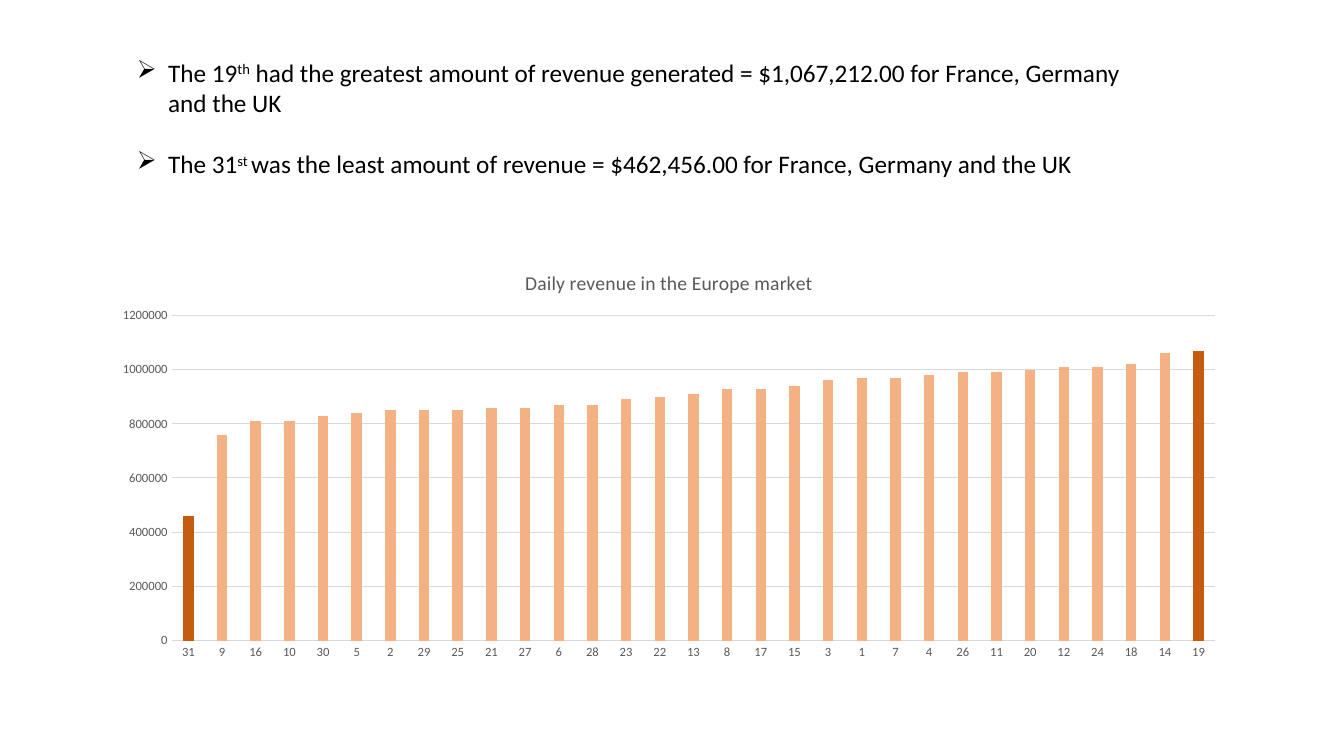
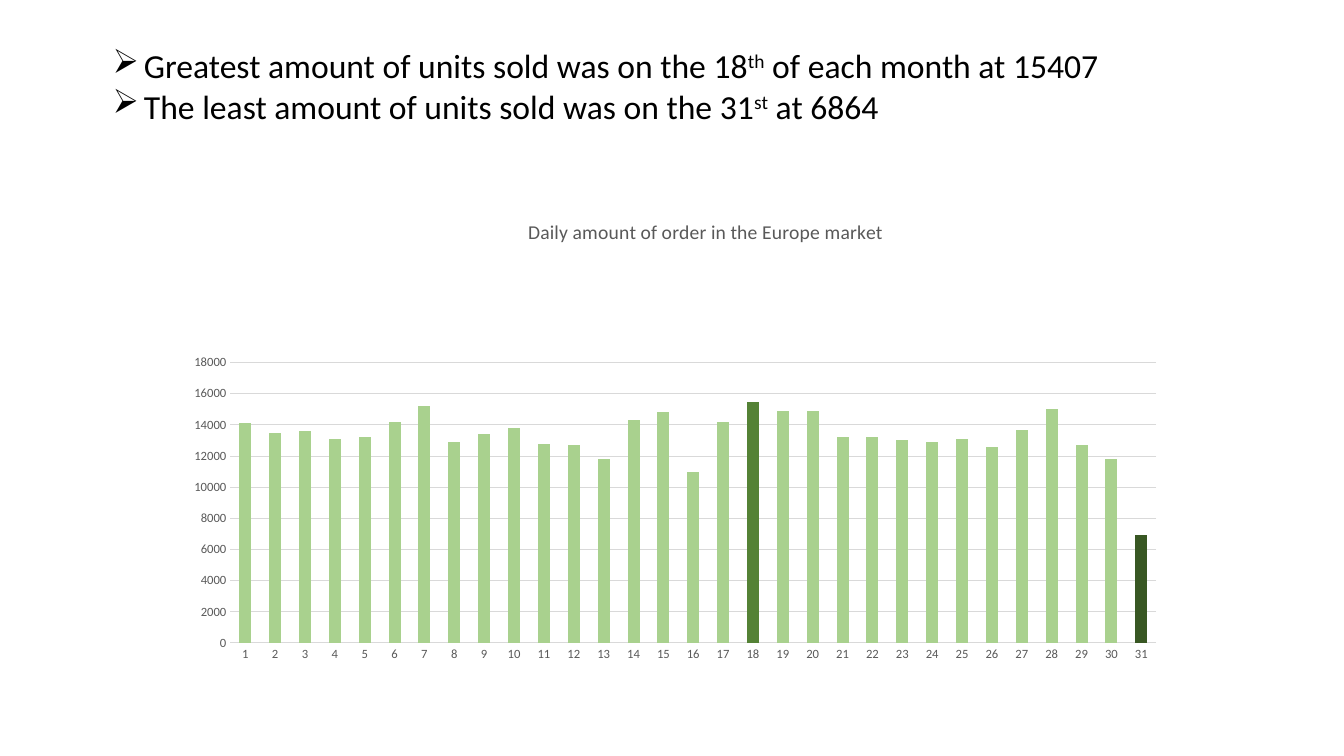
from dataclasses import dataclass

from lxml.etree import SubElement
from pptx import Presentation
from pptx.chart.chart import Chart
from pptx.chart.data import CategoryChartData
from pptx.dml.color import RGBColor
from pptx.enum.chart import XL_CHART_TYPE as ChartType, XL_TICK_MARK as TickMark
from pptx.enum.text import MSO_AUTO_SIZE as AutoSize
from pptx.oxml import parse_xml
from pptx.oxml.ns import nsdecls, qn
from pptx.slide import Slide
from pptx.text.text import Font, _Paragraph as Paragraph
from pptx.util import Inches, Length, Pt

SLIDE_WIDTH, SLIDE_HEIGHT = Inches(13.33), Inches(7.5)
GRID_COLUMNS = GRID_ROWS = 100
FONT_NAME = "Calibri"
BLACK = RGBColor(0x00, 0x00, 0x00)
AXIS_TEXT = RGBColor(0x59, 0x59, 0x59)
GRID_LINE = RGBColor(0xD9, 0xD9, 0xD9)
LIGHT_ORANGE = RGBColor(0xF4, 0xB1, 0x83)
DARK_ORANGE = RGBColor(0xC5, 0x5A, 0x11)
LIGHT_GREEN = RGBColor(0xA9, 0xD1, 0x8E)
MID_GREEN = RGBColor(0x54, 0x82, 0x35)
DARK_GREEN = RGBColor(0x38, 0x57, 0x23)
BULLET_INDENT = Inches(0.31)
SUPERSCRIPT = "30000"


@dataclass(frozen=True)
class GridBox:
    column: float
    row: float
    columns: float
    rows: float

    def lengths(self) -> tuple[Length, ...]:
        column_width = SLIDE_WIDTH / GRID_COLUMNS
        row_height = SLIDE_HEIGHT / GRID_ROWS
        return tuple(
            Length(round(size))
            for size in (
                self.column * column_width,
                self.row * row_height,
                self.columns * column_width,
                self.rows * row_height,
            )
        )


@dataclass(frozen=True)
class PlotArea:
    x: float
    y: float
    w: float
    h: float


@dataclass(frozen=True)
class Finding:
    start: str
    ordinal: str
    end: str


@dataclass(frozen=True)
class ColumnChart:
    title: str
    kind: ChartType
    box: GridBox
    plot_area: PlotArea
    days: tuple[int, ...]
    values: tuple[int, ...]
    colour: RGBColor
    highlights: dict[int, RGBColor]
    gap: int
    overlap: int
    maximum: int
    step: int
    baseline: bool


@dataclass(frozen=True)
class MarketSlide:
    findings: tuple[Finding, ...]
    findings_box: GridBox
    text_size: float
    finding_gap: float
    chart: ColumnChart


MARKET_SLIDES = (
    MarketSlide(
        findings=(
            Finding("The 19", "th", " had the greatest amount of revenue generated = "
                    "$1,067,212.00 for France, Germany and the UK"),
            Finding("The 31", "st ", "was the least amount of revenue = "
                    "$462,456.00 for France, Germany and the UK"),
        ),
        findings_box=GridBox(9.45, 6.93, 77.8, 17.47),
        text_size=18,
        finding_gap=22,
        chart=ColumnChart(
            title="Daily revenue in the Europe market",
            kind=ChartType.COLUMN_CLUSTERED,
            box=GridBox(7.43, 33.33, 84.7, 54.93),
            plot_area=PlotArea(0.063, 0.153, 0.917, 0.783),
            days=(31, 9, 16, 10, 30, 5, 2, 29, 25, 21, 27, 6, 28, 23, 22, 13,
                  8, 17, 15, 3, 1, 7, 4, 26, 11, 20, 12, 24, 18, 14, 19),
            values=(460000, 760000, 810000, 810000, 830000, 840000, 850000, 850000,
                    850000, 860000, 860000, 870000, 870000, 890000, 900000, 910000,
                    930000, 930000, 940000, 960000, 970000, 970000, 980000, 990000,
                    990000, 1000000, 1010000, 1010000, 1020000, 1060000, 1070000),
            colour=LIGHT_ORANGE,
            highlights={31: DARK_ORANGE, 19: DARK_ORANGE},
            gap=219,
            overlap=-27,
            maximum=1200000,
            step=200000,
            baseline=True,
        ),
    ),
    MarketSlide(
        findings=(
            Finding("Greatest amount of units sold was on the 18", "th",
                    " of each month at 15407"),
            Finding("The least amount of units sold was on the 31", "st", " at 6864"),
        ),
        findings_box=GridBox(7.65, 5.33, 83.5, 12.13),
        text_size=24,
        finding_gap=0,
        chart=ColumnChart(
            title="Daily amount of order in the Europe market",
            kind=ChartType.COLUMN_STACKED,
            box=GridBox(10.5, 26.27, 84.02, 70.93),
            plot_area=PlotArea(0.079, 0.306, 0.82, 0.523),
            days=tuple(range(1, 32)),
            values=(14100, 13500, 13600, 13100, 13200, 14200, 15200, 12900,
                    13400, 13800, 12800, 12700, 11800, 14300, 14800, 11000,
                    14200, 15500, 14900, 14900, 13200, 13200, 13000, 12900,
                    13100, 12600, 13700, 15000, 12700, 11800, 6900),
            colour=LIGHT_GREEN,
            highlights={18: MID_GREEN, 31: DARK_GREEN},
            gap=150,
            overlap=100,
            maximum=18000,
            step=2000,
            baseline=False,
        ),
    ),
)


def format_font(font: Font, size: float, colour: RGBColor) -> None:
    font.name = FONT_NAME
    font.size = Pt(size)
    font.bold = False
    font.color.rgb = colour


def add_text(paragraph: Paragraph, text: str, *, size: float,
             colour: RGBColor = BLACK, superscript: bool = False) -> None:
    run = paragraph.add_run()
    run.text = text
    format_font(run.font, size, colour)
    if superscript:
        run._r.get_or_add_rPr().set("baseline", SUPERSCRIPT)


def add_bullet(paragraph: Paragraph) -> None:
    properties = paragraph._p.get_or_add_pPr()
    properties.set("marL", str(BULLET_INDENT))
    properties.set("indent", str(-BULLET_INDENT))
    SubElement(properties, qn("a:buChar")).set("char", "➢")


def add_findings(slide: Slide, content: MarketSlide) -> None:
    frame = slide.shapes.add_textbox(*content.findings_box.lengths()).text_frame
    frame.word_wrap = True
    frame.auto_size = AutoSize.SHAPE_TO_FIT_TEXT
    for index, finding in enumerate(content.findings):
        paragraph = frame.add_paragraph() if index else frame.paragraphs[0]
        if index:
            paragraph.space_before = Pt(content.finding_gap)
        add_bullet(paragraph)
        add_text(paragraph, finding.start, size=content.text_size)
        add_text(paragraph, finding.ordinal, size=content.text_size, superscript=True)
        add_text(paragraph, finding.end, size=content.text_size)


def place_plot_area(chart: Chart, area: PlotArea) -> None:
    plot_area = chart._chartSpace.chart.plotArea
    for layout in plot_area.findall(qn("c:layout")):
        plot_area.remove(layout)
    modes = "".join(f'<c:{side}Mode val="edge"/>' for side in "xy")
    sizes = "".join(f'<c:{side} val="{getattr(area, side)}"/>' for side in "xywh")
    plot_area.insert(0, parse_xml(
        f'<c:layout {nsdecls("c")}><c:manualLayout><c:layoutTarget val="inner"/>'
        f"{modes}{sizes}</c:manualLayout></c:layout>"
    ))


def format_axes(chart: Chart, content: ColumnChart) -> None:
    for axis in (chart.category_axis, chart.value_axis):
        axis.major_tick_mark = axis.minor_tick_mark = TickMark.NONE
        format_font(axis.tick_labels.font, 9, AXIS_TEXT)
        axis.format.line.fill.background()
    value_axis = chart.value_axis
    value_axis.minimum_scale = 0
    value_axis.maximum_scale = content.maximum
    value_axis.major_unit = content.step
    value_axis.has_major_gridlines = True
    lines = [value_axis.major_gridlines.format.line]
    if content.baseline:
        lines.append(chart.category_axis.format.line)
    for line in lines:
        line.color.rgb = GRID_LINE
        line.width = Pt(0.75)


def add_column_chart(slide: Slide, content: ColumnChart) -> None:
    data = CategoryChartData(number_format="General")
    data.categories = [str(day) for day in content.days]
    data.add_series("Series 1", content.values)
    chart = slide.shapes.add_chart(content.kind, *content.box.lengths(), data).chart
    format_font(chart.font, 10, BLACK)
    chart.has_legend = False
    chart.has_title = True
    add_text(chart.chart_title.text_frame.paragraphs[0], content.title,
             size=14, colour=AXIS_TEXT)
    chart.chart_title.include_in_layout = False
    place_plot_area(chart, content.plot_area)
    format_axes(chart, content)
    plot = chart.plots[0]
    plot.vary_by_categories = False
    plot.gap_width = content.gap
    plot.overlap = content.overlap
    series = plot.series[0]
    series.format.fill.solid()
    series.format.fill.fore_color.rgb = content.colour
    for day, colour in content.highlights.items():
        fill = series.points[content.days.index(day)].format.fill
        fill.solid()
        fill.fore_color.rgb = colour


def main() -> None:
    presentation = Presentation()
    presentation.slide_width = SLIDE_WIDTH
    presentation.slide_height = SLIDE_HEIGHT
    blank_layout = presentation.slide_layouts[6]
    for content in MARKET_SLIDES:
        slide = presentation.slides.add_slide(blank_layout)
        add_findings(slide, content)
        add_column_chart(slide, content.chart)
    presentation.save("out.pptx")


if __name__ == "__main__":
    main()
